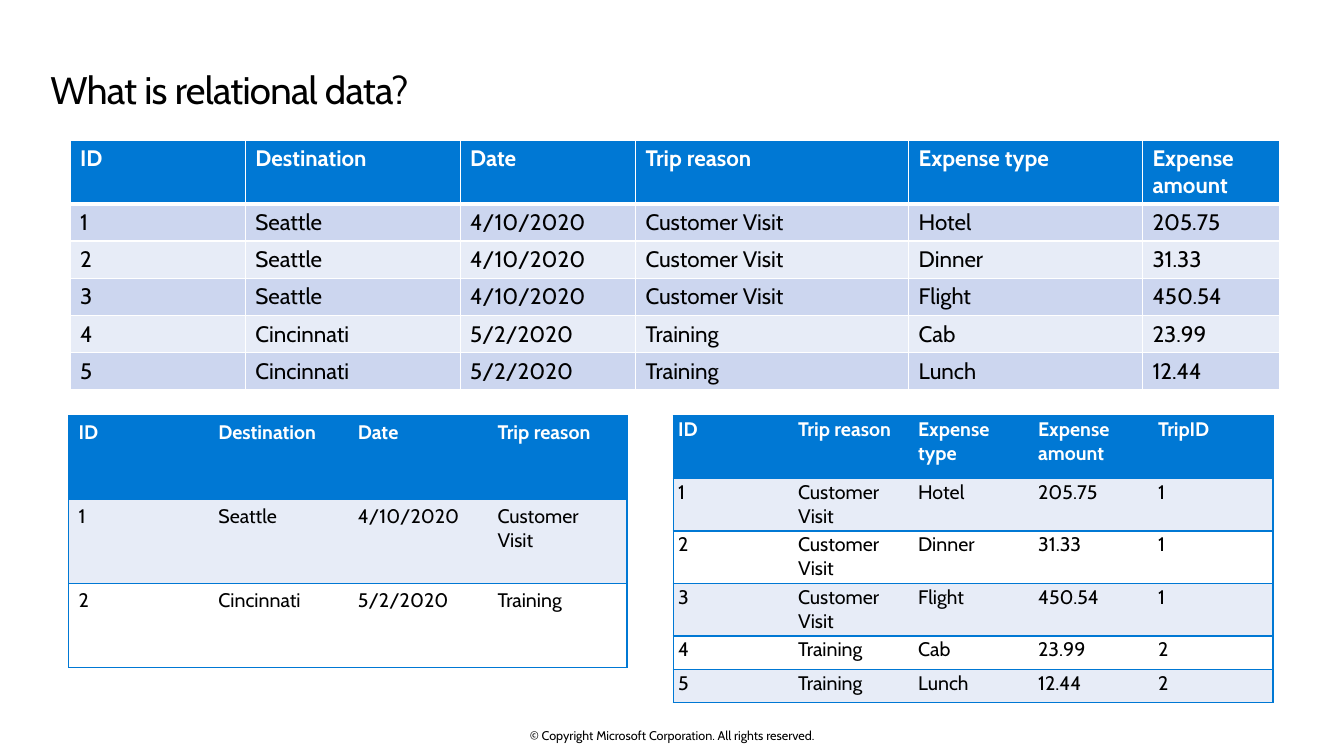
import pptx
import pptx.dml.color
import pptx.enum.text
import pptx.oxml
import pptx.oxml.ns
import pptx.util

Pt = pptx.util.Pt

TITLE = "What is relational data?"
COPYRIGHT = "© Copyright Microsoft Corporation. All rights reserved."

EXPENSES = [
    ("ID", "Destination", "Date", "Trip reason", "Expense type", "Expense amount"),
    ("1", "Seattle", "4/10/2020", "Customer Visit", "Hotel", "205.75"),
    ("2", "Seattle", "4/10/2020", "Customer Visit", "Dinner", "31.33"),
    ("3", "Seattle", "4/10/2020", "Customer Visit", "Flight", "450.54"),
    ("4", "Cincinnati", "5/2/2020", "Training", "Cab", "23.99"),
    ("5", "Cincinnati", "5/2/2020", "Training", "Lunch", "12.44"),
]
TRIPS = [
    ("ID", "Destination", "Date", "Trip reason"),
    ("1", "Seattle", "4/10/2020", "Customer Visit"),
    ("2", "Cincinnati", "5/2/2020", "Training"),
]
TRIP_EXPENSES = [
    ("ID", "Trip reason", "Expense type", "Expense amount", "TripID"),
    ("1", "Customer Visit", "Hotel", "205.75", "1"),
    ("2", "Customer Visit", "Dinner", "31.33", "1"),
    ("3", "Customer Visit", "Flight", "450.54", "1"),
    ("4", "Training", "Cab", "23.99", "2"),
    ("5", "Training", "Lunch", "12.44", "2"),
]

THEME = {
    "font": "Cabin",
    "blue": "0078D4",
    "white": "FFFFFF",
    "black": "000000",
    "strong band": "CCD6EF",
    "light band": "E7ECF7",
    "title size": 27.4,
    "large size": 16,
    "medium size": 14,
    "small size": 9,
}

TABLES = [
    {
        "rows": EXPENSES, "left": 50, "top": 100,
        "widths": [125.3, 153.4, 125.3, 195.1, 167, 97.9],
        "heights": [45] + [26.6] * 5,
        "size": "large size", "bands": ("strong band", "light band"),
        "grid": True, "margins": (7.2, 3.6),
    },
    {
        "rows": TRIPS, "left": 49, "top": 297,
        "widths": [99.75] * 4, "heights": [60] * 3,
        "size": "medium size", "bands": ("light band", "white"),
        "grid": False, "margins": (7.2, 3.6),
    },
    {
        "rows": TRIP_EXPENSES, "left": 480.8, "top": 297,
        "widths": [85.7] * 5, "heights": [44.8] + [37.5] * 3 + [23.8] * 2,
        "size": "medium size", "bands": ("light band", "white"),
        "grid": False, "margins": (3.6, 1.44),
    },
]


def set_values(target, values):
    for name, value in values.items():
        setattr(target, name, value)


def write(para, text, size, color, bold=False):
    span = para.add_run()
    span.text = text
    set_values(span.font, {"name": THEME["font"], "size": Pt(THEME[size]), "bold": bold})
    span.font.color.rgb = pptx.dml.color.RGBColor.from_string(THEME[color])
    return span


def add_text(page, text, left, top, width, height, size, para_format, anchor):
    box = page.shapes.add_textbox(Pt(left), Pt(top), Pt(width), Pt(height))
    set_values(box.text_frame, {
        "word_wrap": True, "vertical_anchor": anchor,
        "margin_left": 0, "margin_right": 0, "margin_top": 0, "margin_bottom": 0,
    })
    para = box.text_frame.paragraphs[0]
    set_values(para, para_format)
    return write(para, text, size, "black")


def set_borders(cell, borders):
    properties = cell._tc.get_or_add_tcPr()
    for side in "LRTB":
        color, width = borders.get(side, (None, 0))
        paint = f'<a:solidFill><a:srgbClr val="{THEME[color]}"/></a:solidFill>' if color else "<a:noFill/>"
        properties.append(pptx.oxml.parse_xml(
            f'<a:ln{side} {pptx.oxml.ns.nsdecls("a")} w="{Pt(width)}">{paint}</a:ln{side}>'))


def borders_for(grid, row, column, last_column):
    if grid:
        borders = {side: ("white", 1) for side in "LRTB"}
        if row == 0:
            borders["B"] = ("white", 3)
        if row == 1:
            borders["T"] = ("white", 3)
        return borders
    borders = {side: ("blue", 1) for side in "TB"}
    if column == 0:
        borders["L"] = ("blue", 1)
    if column == last_column:
        borders["R"] = ("blue", 1)
    return borders


def add_data_table(page, data):
    rows, widths, heights = data["rows"], data["widths"], data["heights"]
    table = page.shapes.add_table(
        len(rows), len(widths), Pt(data["left"]), Pt(data["top"]),
        Pt(sum(widths)), Pt(sum(heights))).table
    set_values(table, {"first_row": False, "horz_banding": False})
    for column, width in zip(table.columns, widths):
        column.width = Pt(width)
    for row, height in zip(table.rows, heights):
        row.height = Pt(height)
    side_margin, end_margin = map(Pt, data["margins"])
    for row, texts in enumerate(rows):
        header = row == 0
        fill = "blue" if header else data["bands"][(row - 1) % 2]
        for column, text in enumerate(texts):
            cell = table.cell(row, column)
            set_values(cell, {
                "margin_left": side_margin, "margin_right": side_margin,
                "margin_top": end_margin, "margin_bottom": end_margin,
            })
            set_borders(cell, borders_for(data["grid"], row, column, len(widths) - 1))
            cell.fill.solid()
            cell.fill.fore_color.rgb = pptx.dml.color.RGBColor.from_string(THEME[fill])
            write(cell.text_frame.paragraphs[0], text, data["size"],
                  "white" if header else "black", header)


def main():
    deck = pptx.Presentation()
    set_values(deck, {"slide_width": Pt(960), "slide_height": Pt(540)})
    page = deck.slides.add_slide(deck.slide_layouts[6])
    anchors = pptx.enum.text.MSO_ANCHOR
    add_text(page, COPYRIGHT, 318, 520, 324, 11, "small size",
             {"alignment": pptx.enum.text.PP_ALIGN.CENTER}, anchors.MIDDLE)
    title = add_text(page, TITLE, 36, 49, 890, 31.4, "title size",
                     {"line_spacing": Pt(31.4)}, anchors.TOP)
    title._r.get_or_add_rPr().set("spc", "-50")
    for data in TABLES:
        add_data_table(page, data)
    deck.save("out.pptx")


if __name__ == "__main__":
    main()
